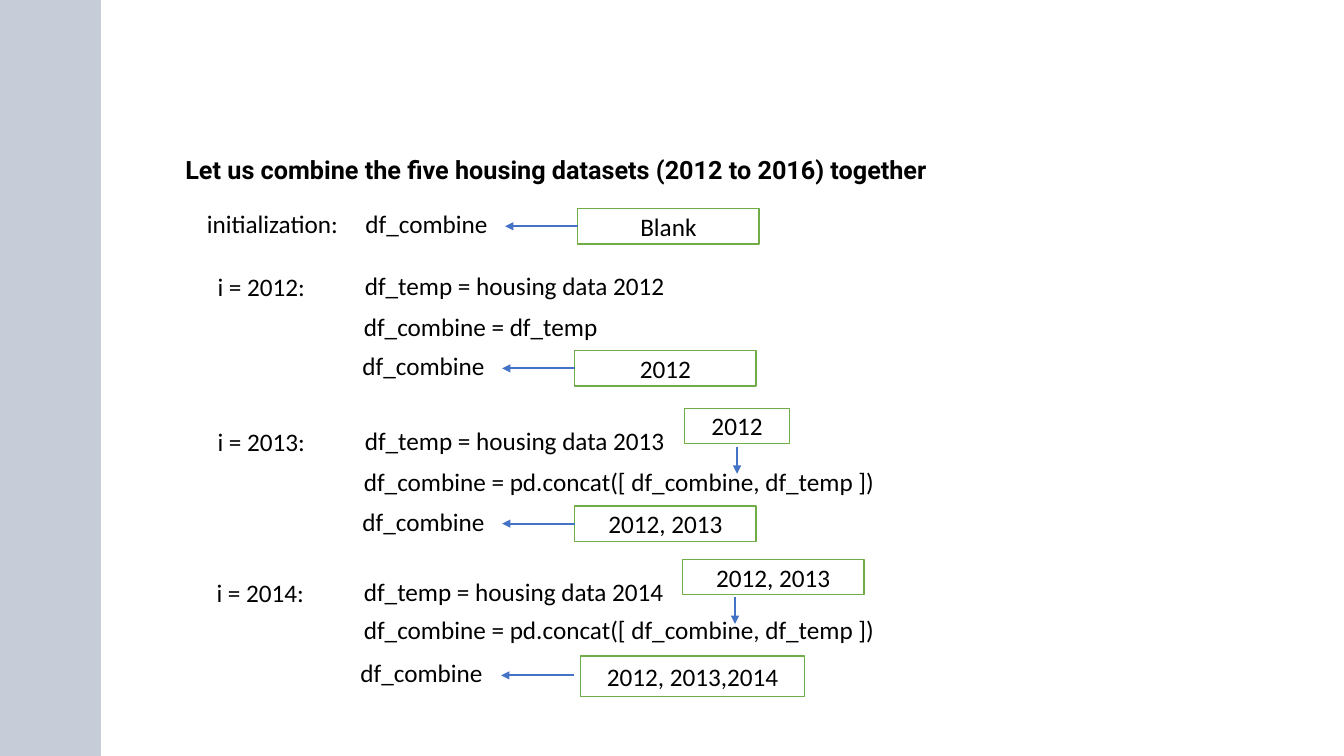
import pptx
import pptx.util
import pptx.dml.color
import pptx.enum.shapes
import pptx.enum.text
import pptx.oxml
import pptx.oxml.ns
import lxml.etree

Inches = pptx.util.Inches
Pt = pptx.util.Pt
ALIGN = pptx.enum.text.PP_ALIGN
BLACK, WHITE, GREEN, BLUE, NAVY = "000000", "FFFFFF", "70AD47", "4472C4", "203864"

# One half wave of the side band, from trough to crest
HALF = [(0.78, 0), (0.78, 0.07), (0.79, 0.14), (0.8, 0.2), (0.81, 0.25),
        (0.83, 0.29), (0.85, 0.33), (0.87, 0.38), (0.89, 0.42), (0.91, 0.46),
        (0.93, 0.5), (0.95, 0.55), (0.96, 0.61), (0.97, 0.68), (0.97, 0.75)]
WAVE = 1.5


def color(value):
    return pptx.dml.color.RGBColor.from_string(value)


def child(parent, tag, **attrs):
    return lxml.etree.SubElement(parent, pptx.oxml.ns.qn(tag), attrs)


def write(frame, text, align, font="Calibri", bold=None):
    frame.word_wrap = True
    para = frame.paragraphs[0]
    para.alignment = align
    run = para.add_run()
    run.text = text
    run.font.name = font
    run.font.size = Pt(18)
    run.font.bold = bold
    run.font.color.rgb = color(BLACK)


def label(slide, text, left, top, width, align=ALIGN.CENTER, **style):
    box = slide.shapes.add_textbox(
        Inches(left), Inches(top), Inches(width), Inches(0.4))
    write(box.text_frame, text, align, **style)
    box.text_frame.auto_size = pptx.enum.text.MSO_AUTO_SIZE.SHAPE_TO_FIT_TEXT


def frame(slide, text, left, top, width=1.8, height=0.35):
    box = slide.shapes.add_shape(
        pptx.enum.shapes.MSO_SHAPE.RECTANGLE,
        Inches(left), Inches(top), Inches(width), Inches(height))
    box.shadow.inherit = False
    box.fill.solid()
    box.fill.fore_color.rgb = color(WHITE)
    box.line.color.rgb = color(GREEN)
    box.line.width = Pt(1)
    box.text_frame.vertical_anchor = pptx.enum.text.MSO_ANCHOR.MIDDLE
    write(box.text_frame, text, ALIGN.CENTER)
    return box


def arrow(slide, left, top, across=0, down=0, source=None):
    line = slide.shapes.add_connector(
        pptx.enum.shapes.MSO_CONNECTOR.STRAIGHT, Inches(left), Inches(top),
        Inches(left + across), Inches(top + down))
    if source is not None:
        line.begin_connect(source, 1)
        line.end_y = line.begin_y
    line.line.color.rgb = color(BLUE)
    line.line.width = Pt(1.5)
    child(line.line._get_or_add_ln(), "a:tailEnd", type="triangle")
    child(line._element.spPr, "a:effectLst")


def band(slide):
    crest = HALF + [(x, WAVE - y) for x, y in HALF[-2::-1]]
    edge = [(x, y + WAVE * turn) for turn in range(5) for x, y in crest]
    build = slide.shapes.build_freeform(0, 0, scale=Inches(1))
    build.add_line_segments(edge + [(0, 7.5)], close=True)
    shape = build.convert_to_shape()
    shape.shadow.inherit = False
    shape.fill.solid()
    shape.fill.fore_color.rgb = color(NAVY)
    shape.line.fill.background()
    tint = shape._element.spPr.find(".//" + pptx.oxml.ns.qn("a:srgbClr"))
    child(tint, "a:alpha", val="25000")


def result(slide, text, left, top):
    """A df_combine label with an arrow from its content box."""
    label(slide, "df_combine", left, top, 2.12)
    box = frame(slide, text, left + 2.56, top + 0.05)
    arrow(slide, left + 2.56, top + 0.23, across=-0.72, source=box)


def step(slide, year, left, top, code, below):
    """The loop heading, the load line and the combine line."""
    label(slide, f"i = {year}: ", left, top + 0.01, 2.12)
    label(slide, f"df_temp = housing data {year}", left + 1.15, top, 4.79)
    label(slide, f"df_combine = {code}", 3.51, top + below, 7.79, ALIGN.LEFT)


def main():
    deck = pptx.Presentation()
    deck.slide_width, deck.slide_height = Inches(13.33), Inches(7.5)
    slide = deck.slides.add_slide(deck.slide_layouts[6])
    concat = "pd.concat([ df_combine, df_temp ])"

    # Side band and heading
    band(slide)
    label(slide, "Let us combine the five housing datasets (2012 to 2016) together",
          1.74, 1.48, 9.09, ALIGN.LEFT, font="Roboto", bold=True)

    # Start
    label(slide, "initialization: ", 1.67, 2.02, 2.12)
    result(slide, "Blank", 3.17, 2.02)

    # Loop steps
    step(slide, 2012, 1.56, 2.63, "df_temp", 0.41)
    result(slide, "2012", 3.14, 3.43)

    step(slide, 2013, 1.56, 4.17, concat, 0.41)
    frame(slide, "2012", 6.79, 4.05, width=1.04)
    arrow(slide, 7.31, 4.43, down=0.27)
    result(slide, "2012, 2013", 3.14, 4.97)

    step(slide, 2014, 1.55, 5.67, concat, 0.38)
    frame(slide, "2012, 2013", 6.77, 5.55)
    arrow(slide, 7.29, 5.92, down=0.27)

    # The last result has a wider box, set apart from its arrow
    label(slide, "df_combine", 3.12, 6.47, 2.12)
    frame(slide, "2012, 2013,2014", 5.76, 6.51, width=2.22, height=0.4)
    arrow(slide, 5.69, 6.7, across=-0.72)

    deck.save("out.pptx")


if __name__ == "__main__":
    main()
